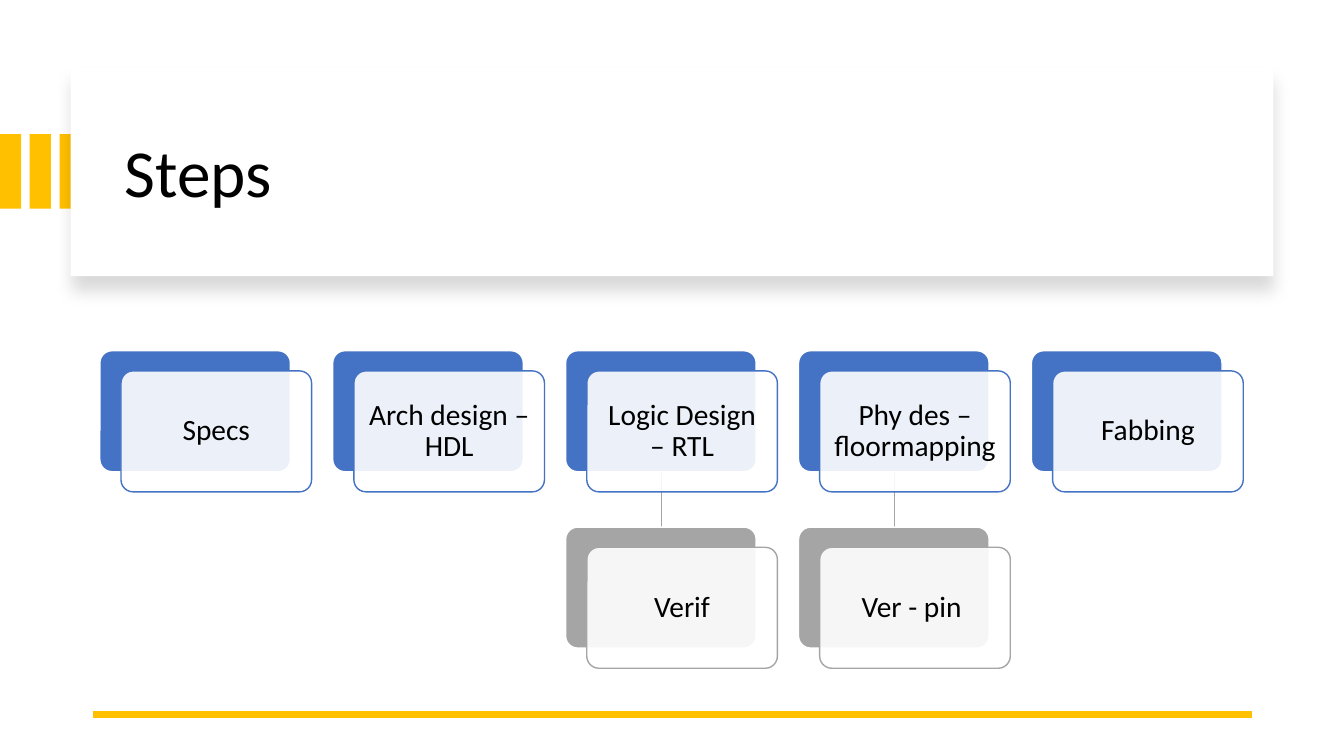
from lxml.etree import SubElement
from pptx import Presentation
from pptx.dml.color import RGBColor
from pptx.enum.shapes import MSO_CONNECTOR, MSO_SHAPE
from pptx.enum.text import MSO_ANCHOR, PP_ALIGN
from pptx.oxml.ns import qn
from pptx.util import Inches, Pt

GOLD, BLUE, GRAY, WHITE, BLACK = "FFC000", "4472C4", "A5A5A5", "FFFFFF", "000000"
CARD_WIDTH, CARD_HEIGHT = 1.89, 1.2
FIRST_LEFT, COLUMN_STEP = 0.99, 2.31
ROW_TOPS = [3.48, 5.23]
ROW_COLORS = [BLUE, GRAY]


def color(hex_string):
    return RGBColor.from_string(hex_string)


def add_box(kind, left, top, width, height, fill, line=None):
    shape = slide.shapes.add_shape(
        kind, Inches(left), Inches(top), Inches(width), Inches(height))
    shape.shadow.inherit = False
    shape.fill.solid()
    shape.fill.fore_color.rgb = color(fill)
    if line:
        shape.line.color.rgb = color(line)
        shape.line.width = Pt(1)
        shape.adjustments[0] = 0.1
    else:
        shape.line.fill.background()
    return shape


presentation = Presentation()
presentation.slide_width = Inches(13.33)
presentation.slide_height = Inches(7.5)
slide = presentation.slides.add_slide(presentation.slide_layouts[6])

# Title banner with accent bars
for bar in range(3):
    add_box(MSO_SHAPE.RECTANGLE, bar * 0.295, 1.33, 0.21, 0.74, GOLD)

banner = add_box(MSO_SHAPE.RECTANGLE, 0.7, 0.67, 11.93, 2.07, WHITE)
effects = banner.element.spPr.find(qn("a:effectLst"))
shadow = SubElement(effects, qn("a:outerShdw"), blurRad=str(Pt(11)),
                    dist=str(Pt(10)), dir="5400000", algn="t", rotWithShape="0")
shadow_color = SubElement(shadow, qn("a:srgbClr"), val=BLACK)
SubElement(shadow_color, qn("a:alpha"), val="15000")

title = slide.shapes.add_textbox(Inches(1.14), Inches(0.89), Inches(11.13), Inches(1.7))
title.text_frame.word_wrap = True
title.text_frame.vertical_anchor = MSO_ANCHOR.MIDDLE
paragraph = title.text_frame.paragraphs[0]
paragraph.line_spacing = 0.9
run = paragraph.add_run()
run.text = "Steps"
run.font.name = "Calibri"
run.font.size = Pt(48)
run.font.color.rgb = color(BLACK)

# Footer rule, then the links from steps to their checks
lines = [
    (12.42, 7.09, 0.92, 7.09, GOLD, 4.5),
    (8.87, 4.68, 8.87, 5.23, GRAY, 1),
    (6.56, 4.68, 6.56, 5.23, GRAY, 1),
]
for start_x, start_y, end_x, end_y, line_color, width in lines:
    connector = slide.shapes.add_connector(
        MSO_CONNECTOR.STRAIGHT, Inches(start_x), Inches(start_y),
        Inches(end_x), Inches(end_y))
    connector.line.color.rgb = color(line_color)
    connector.line.width = Pt(width)
    SubElement(connector.element.spPr, qn("a:effectLst"))

# Process cards: column, row, label
cards = [
    (0, 0, "Specs"),
    (1, 0, "Arch design – HDL"),
    (2, 0, "Logic Design – RTL"),
    (2, 1, "Verif"),
    (3, 0, "Phy des – floormapping"),
    (3, 1, "Ver - pin\u00a0"),
    (4, 0, "Fabbing"),
]
for column, row, label in cards:
    left, top = FIRST_LEFT + column * COLUMN_STEP, ROW_TOPS[row]
    accent = ROW_COLORS[row]
    add_box(MSO_SHAPE.ROUNDED_RECTANGLE, left, top, CARD_WIDTH, CARD_HEIGHT, accent, WHITE)
    card = add_box(MSO_SHAPE.ROUNDED_RECTANGLE, left + 0.21, top + 0.2,
                   CARD_WIDTH, CARD_HEIGHT, WHITE, accent)
    fill_color = card.element.spPr.find(qn("a:solidFill")).find(qn("a:srgbClr"))
    SubElement(fill_color, qn("a:alpha"), val="90000")

    frame = card.text_frame
    frame.word_wrap = True
    frame.vertical_anchor = MSO_ANCHOR.MIDDLE
    frame.margin_left = frame.margin_right = Inches(0.09)
    frame.margin_top = frame.margin_bottom = Inches(0.09)
    paragraph = frame.paragraphs[0]
    paragraph.alignment = PP_ALIGN.CENTER
    paragraph.line_spacing = 0.9
    run = paragraph.add_run()
    run.text = label
    run.font.name = "Calibri"
    run.font.size = Pt(21)
    run.font.color.rgb = color(BLACK)

presentation.save("out.pptx")
